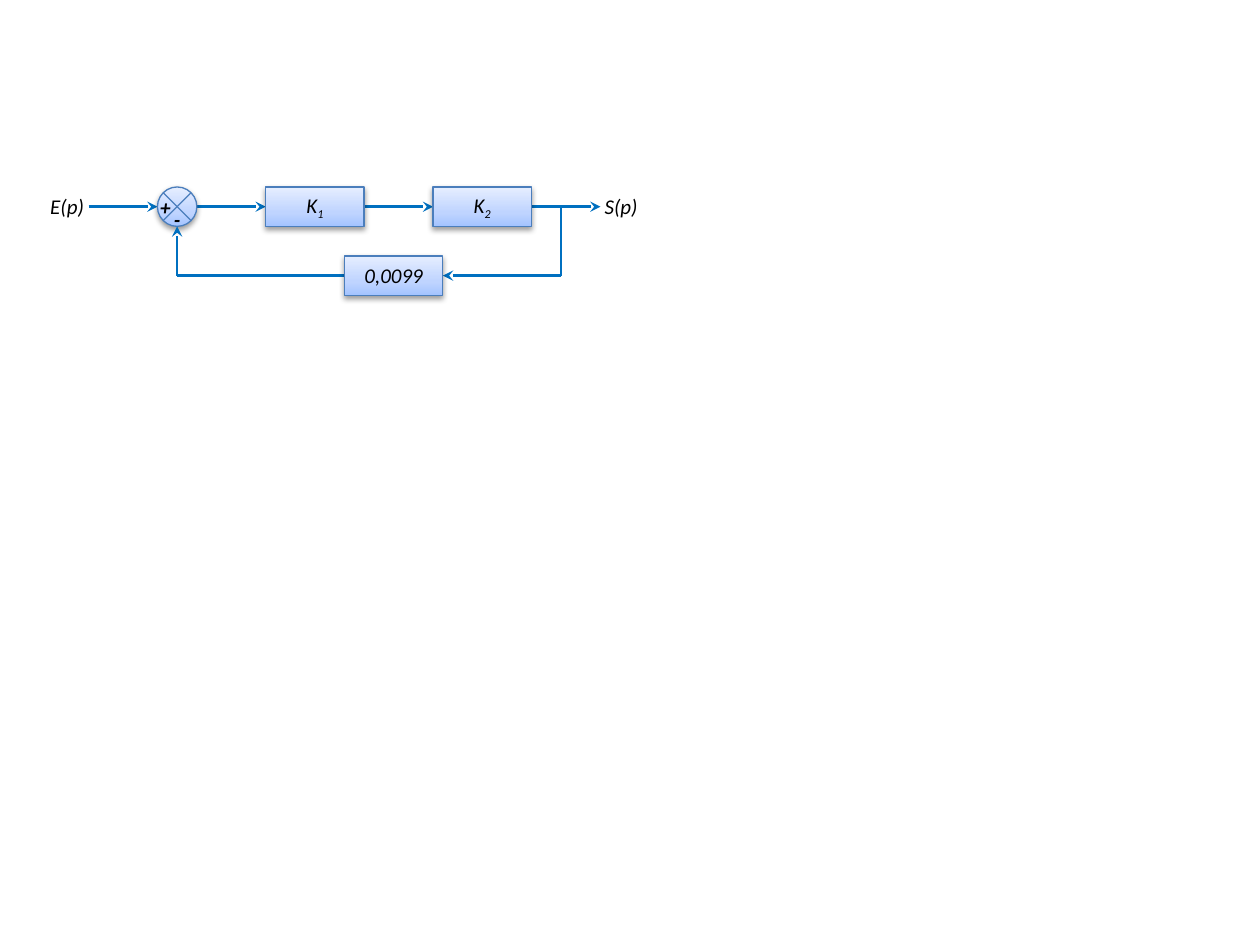
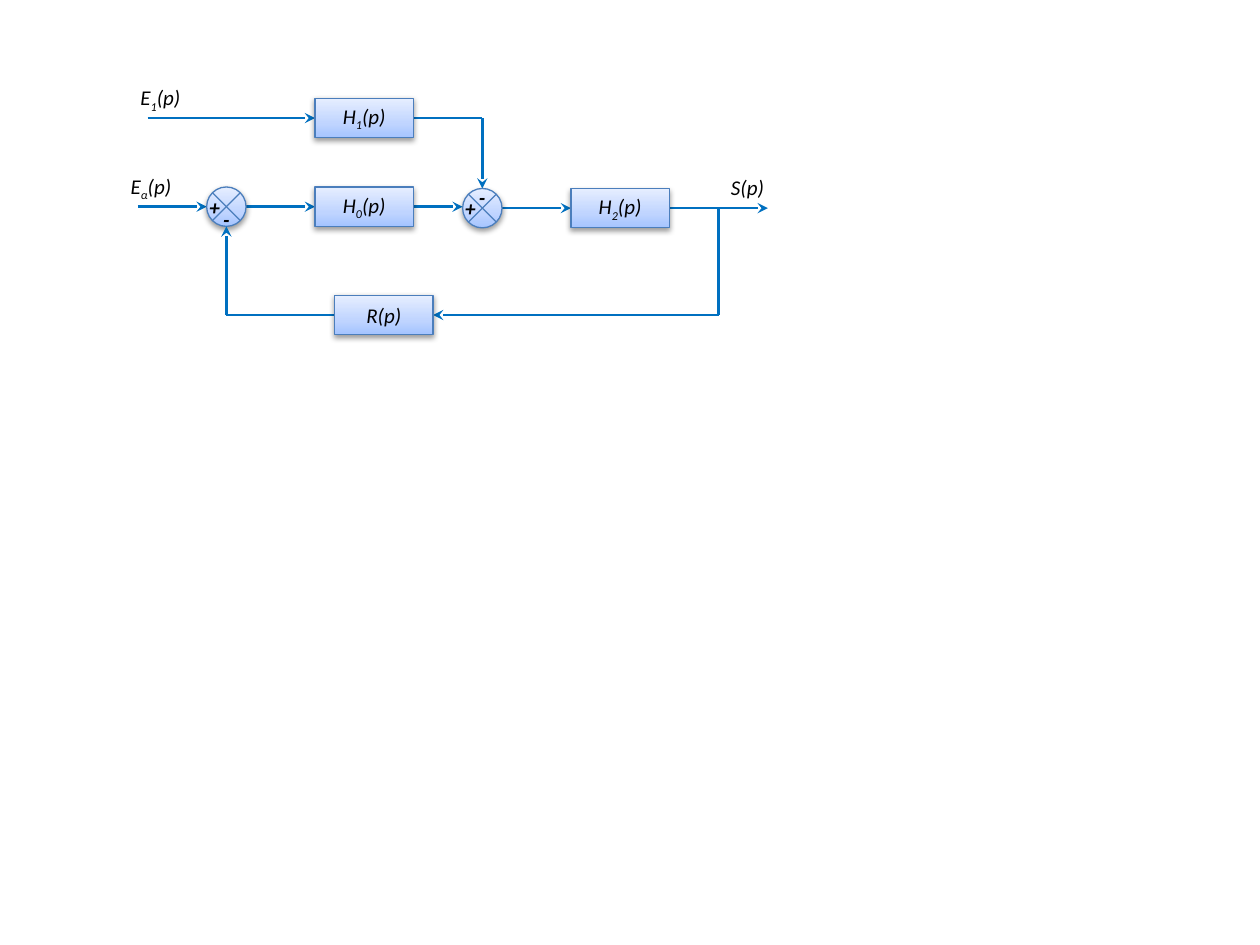
from dataclasses import dataclass
from itertools import pairwise

from pptx import Presentation, oxml, util as u
from pptx.dml.color import RGBColor
from pptx.enum import shapes, text

NS = 'xmlns:a="http://schemas.openxmlformats.org/drawingml/2006/main"'
COLS = 128  # square grid cells across the slide


class Theme:
    """Colours, type and sizes shared by both diagrams."""
    wire = {"rgb": RGBColor.from_string("0070C0"), "width": u.Pt(1.5)}
    edge = {"rgb": RGBColor.from_string("4B7EBC"), "width": u.Pt(0.75)}
    ink = RGBColor(0, 0, 0)
    font = {"name": "Calibri", "size": u.Pt(12), "italic": True}
    stops = {0: "A4C4FF", 35: "BFD4FF", 100: "E6EEFF"}
    block = (10, 4)
    node = (4, 4)
    label = (7, 3.84)


def put(item, vals):
    """Set attributes from a dict of format values."""
    for key, val in vals.items():
        setattr(item, key, val)


def rule(line, style):
    """Give a line its colour and width."""
    line.color.rgb = style["rgb"]
    line.width = style["width"]


def write(frame, words, **extra):
    """Write words split by bars; every second part is a subscript."""
    for pos, part in enumerate(words.split("|")):
        run = frame.paragraphs[0].add_run()
        run.text = part
        put(run.font, Theme.font | extra)
        run.font.color.rgb = Theme.ink
        if pos % 2:
            run._r.get_or_add_rPr().set("baseline", "-25000")


@dataclass
class Plan:
    """A diagram on a slide, measured in cells from its input point."""
    slide: object
    col: float
    row: float
    cell: int

    def spot(self, x, y):
        """Turn a grid point into slide lengths."""
        return round((self.col + x) * self.cell), round((self.row + y) * self.cell)

    def box(self, x, y, size):
        """Turn a corner and a size in cells into left, top, width, height."""
        return *self.spot(x, y), *(round(n * self.cell) for n in size)

    def solid(self, kind, x, y, size):
        """Add a shaded shape, its left edge at x and its middle on row y."""
        shape = self.slide.shapes.add_shape(kind, *self.box(x, y - size[1] / 2, size))
        rule(shape.line, Theme.edge)
        stops = "".join(f'<a:gs pos="{pos * 1000}"><a:srgbClr val="{tone}"/></a:gs>'
                        for pos, tone in Theme.stops.items())
        prop = shape._element.spPr
        prop.prstGeom.addnext(oxml.parse_xml(
            f'<a:gradFill {NS} rotWithShape="1"><a:gsLst>{stops}</a:gsLst>'
            '<a:lin ang="16200000" scaled="0"/></a:gradFill>'))
        prop.append(oxml.parse_xml(
            f'<a:effectLst {NS}><a:outerShdw blurRad="40000" dist="20000" dir="5400000" '
            'rotWithShape="0"><a:srgbClr val="000000"><a:alpha val="38000"/></a:srgbClr>'
            '</a:outerShdw></a:effectLst>'))
        return shape

    def block(self, x, y, words):
        """Add a transfer block."""
        frame = self.solid(shapes.MSO_SHAPE.RECTANGLE, x, y, Theme.block).text_frame
        frame.vertical_anchor = text.MSO_ANCHOR.MIDDLE
        frame.paragraphs[0].alignment = text.PP_ALIGN.CENTER
        write(frame, words)

    def label(self, x, y, words, **extra):
        """Add a text label with its top left corner at x, y."""
        frame = self.slide.shapes.add_textbox(*self.box(x, y, Theme.label)).text_frame
        put(frame, {"word_wrap": True, "auto_size": text.MSO_AUTO_SIZE.SHAPE_TO_FIT_TEXT})
        write(frame, words, **extra)

    def node(self, x, y, minus=1.4):
        """Add a summing junction; minus is the drop of its minus sign."""
        self.solid(shapes.MSO_SHAPE.FLOWCHART_SUMMING_JUNCTION, x, y, Theme.node)
        top = y - Theme.node[1] / 2
        self.label(x - 1, top + 0.1, "+", bold=True)
        self.label(x + 0.4, top + minus, "-", bold=True)

    def wire(self, *points):
        """Join points by straight lines, with an arrowhead on the last."""
        for start, end in pairwise(points):
            line = self.slide.shapes.add_connector(
                shapes.MSO_CONNECTOR.STRAIGHT, *self.spot(*start), *self.spot(*end))
            rule(line.line, Theme.wire)
            if end == points[-1]:
                line.line._get_or_add_ln().append(
                    oxml.parse_xml(f'<a:tailEnd {NS} type="stealth"/>'))
            line._element.spPr.append(oxml.parse_xml(f"<a:effectLst {NS}/>"))

    def back(self, tap, depth, left, words, row=0):
        """Add the return path from column tap through a block to the first node."""
        self.wire((tap, row), (tap, depth), (left + Theme.block[0], depth))
        self.wire((left, depth), (9, depth), (9, 2))
        self.block(left, depth, words)


def single(plan):
    """Draw the loop with two blocks in series."""
    for start in (0, 11, 28, 45):
        plan.wire((start, 0), (start + 7, 0))
    plan.node(7, 0)
    plan.block(18, 0, "K|1")
    plan.block(35, 0, "K|2")
    plan.back(48, 7, 26, "0,0099")
    plan.label(-5.16, -2, "E(p)")
    plan.label(51.16, -2, "S(p)")


def double(plan):
    """Draw the loop with a second input joining before the last block."""
    low, high = 0.15, -9
    for start, end, row in ((0, 7, 0), (11, 18, 0), (28, 33, 0),
                            (37, 44, low), (54, 64, low), (1, 18, high)):
        plan.wire((start, row), (end, row))
    plan.wire((28, high), (35, high), (35, low - 2))
    plan.node(7, 0)
    plan.node(33, low, minus=-1)
    plan.block(18, high, "H|1|(p)")
    plan.block(18, 0, "H|0|(p)")
    plan.block(44, low, "H|2|(p)")
    plan.back(59, 11, 20, "R(p)", low)
    plan.label(-2, -4, "E|α|(p)")
    plan.label(59, low - 4, "S(p)")
    plan.label(-1, high - 4, "E|1|(p)")


deck = Presentation()
put(deck, {"slide_width": u.Inches(10), "slide_height": u.Inches(7.5)})
for draw, col in ((single, 9), (double, 14)):
    page = deck.slides.add_slide(deck.slide_layouts[6])
    draw(Plan(page, col, 21, deck.slide_width / COLS))
deck.save("out.pptx")
